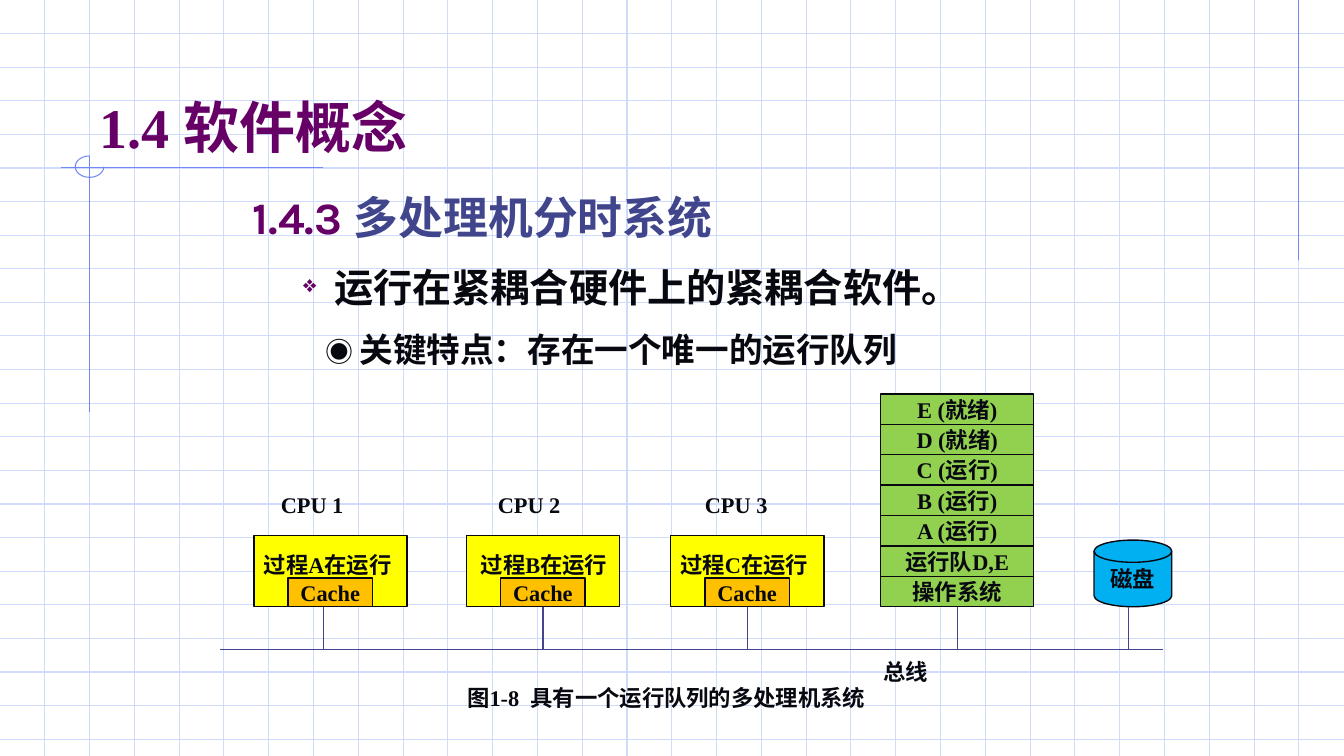
from collections import namedtuple

import pptx
import pptx.dml.color
import pptx.enum.shapes
import pptx.enum.text
import pptx.oxml.ns
import pptx.util
from lxml import etree

Cm = pptx.util.Cm
Pt = pptx.util.Pt
Kind = pptx.enum.shapes.MSO_SHAPE
Align = pptx.enum.text.PP_ALIGN
Anchor = pptx.enum.text.MSO_ANCHOR
qn = pptx.oxml.ns.qn

Box = namedtuple("Box", "x y w h")


class Theme:
    grid, rule, navy = "CFDBFD", "6F89F7", "40458C"
    plum, ink = "660066", "080910"
    yellow, orange, green, blue = "FFFF00", "FFC000", "92D050", "00B0F0"
    serif, sans, arial, han = "Times New Roman", "Karla", "Arial", "Noto Sans CJK SC"
    title, head, point, sub, mark, label = 40, 32, 28, 24, 20, 16


def rgb(code):
    return pptx.dml.color.RGBColor.from_string(code)


def line(slide, x1, y1, x2, y2, color, width=0.75):
    wire = slide.shapes.add_connector(
        pptx.enum.shapes.MSO_CONNECTOR.STRAIGHT, Cm(x1), Cm(y1), Cm(x2), Cm(y2))
    wire.line.color.rgb = rgb(color)
    wire.line.width = Pt(width)
    etree.SubElement(wire._element.spPr, qn("a:effectLst"))
    return wire


def write(para, text, size=Theme.label, color=Theme.ink, font=Theme.serif, bold=True):
    run = para.add_run()
    run.text = text
    run.font.size = Pt(size)
    run.font.bold = bold
    run.font.name = font
    run.font.color.rgb = rgb(color)
    east = etree.SubElement(run._r.get_or_add_rPr(), qn("a:ea"))
    east.set("typeface", Theme.han)


def shape(slide, kind, box, fill, text=None):
    part = slide.shapes.add_shape(kind, *map(Cm, box))
    part.shadow.inherit = False
    part.fill.solid()
    part.fill.fore_color.rgb = rgb(fill)
    part.line.color.rgb = rgb(Theme.ink)
    part.line.width = Pt(1)
    if text:
        frame = part.text_frame
        frame.word_wrap = False
        frame.vertical_anchor = Anchor.MIDDLE
        frame.paragraphs[0].alignment = Align.CENTER
        write(frame.paragraphs[0], text)
    return part


def area(slide, box, anchor):
    frame = slide.shapes.add_textbox(*map(Cm, box)).text_frame
    frame.word_wrap = True
    frame.vertical_anchor = anchor
    return frame


def label(slide, box, text, inset=0.25):
    frame = area(slide, box, Anchor.MIDDLE)
    frame.margin_left = frame.margin_right = Cm(inset)
    frame.margin_top = frame.margin_bottom = 0
    write(frame.paragraphs[0], text)


# Squared paper with the ruled corner marks
def paper(slide, box):
    row, col = box.h / 22.5, box.w / 30
    for i in range(1, 23):
        line(slide, box.x, box.y + i * row, box.x + box.w, box.y + i * row, Theme.grid)
    for i in range(1, 30):
        line(slide, box.x + i * col, box.y, box.x + i * col, box.y + box.h, Theme.grid)
    left, right = box.x + 2 * col, box.x + 29 * col
    line(slide, right, box.y, right, box.y + 6.55, Theme.rule)
    line(slide, box.x + 8.15, box.y + 4.21, box.x + 1.53, box.y + 4.21, Theme.rule)
    line(slide, left, box.y + 3.93, left, box.y + 10.38, Theme.rule)
    arc = slide.shapes.add_shape(
        Kind.ARC, Cm(left - 0.36), Cm(box.y + 3.93), Cm(0.72), Cm(0.54))
    arc.adjustments[0], arc.adjustments[1] = 0, 162
    arc.shadow.inherit = False
    arc.fill.background()
    arc.line.color.rgb = rgb(Theme.rule)
    arc.line.width = Pt(0.75)


def title(slide, box):
    frame = area(slide, box, Anchor.BOTTOM)
    frame.margin_bottom = 0
    write(frame.paragraphs[0], "1.4 软件概念", Theme.title, Theme.plum)


# Heading, bulleted statement and key feature
def body(slide, box):
    frame = area(slide, box, Anchor.TOP)
    head, point, sub = frame.paragraphs[0], frame.add_paragraph(), frame.add_paragraph()
    for para, tall, gap in ((head, 42, 0), (point, 36, 12), (sub, 32, 10)):
        para.line_spacing = Pt(tall)
        para.space_before = Pt(gap)
    write(head, "1.4.3 ", Theme.head, Theme.plum, Theme.sans)
    write(head, "多处理机分时系统", Theme.head, Theme.navy, Theme.sans)

    props = point._p.get_or_add_pPr()
    props.set("marL", str(Cm(2.06)))
    props.set("indent", str(Cm(-0.79)))
    tint = etree.SubElement(props, qn("a:buClr"))
    etree.SubElement(tint, qn("a:srgbClr")).set("val", Theme.plum)
    etree.SubElement(props, qn("a:buSzPct")).set("val", "60000")
    etree.SubElement(props, qn("a:buChar")).set("char", "❖")
    write(point, "运行在紧耦合硬件上的紧耦合软件。", Theme.point, font=Theme.sans)

    sub._p.get_or_add_pPr().set("marL", str(Cm(1.83)))
    write(sub, "◉ ", Theme.mark, font=Theme.arial, bold=False)
    write(sub, "关键特点：存在一个唯一的运行队列", Theme.sub, font=Theme.sans)


# One processor; name is placed from its stem
def cpu(slide, box, stem, shift, num, task):
    block = shape(slide, Kind.RECTANGLE, box, Theme.yellow)
    cache = Box(box.x + 0.86, box.y + box.h - 0.72, 2.13, 0.72)
    shape(slide, Kind.RECTANGLE, cache, Theme.orange, "Cache")
    label(slide, Box(box.x + shift, box.y + 0.38, 3.71, 0.69), f"过程{task}在运行", 0)
    label(slide, Box(stem - 1.32, box.y - 1.25, 2.84, 0.94), f"CPU {num}")
    return block


# Memory holding the run queue; returns its lowest cell
def queue(slide, box):
    cells = ("E (就绪)", "D (就绪)", "C (运行)", "B (运行)", "A (运行)",
             "运行队D,E", "操作系统")
    tall = box.h / len(cells)
    for i, text in enumerate(cells):
        cell = shape(slide, Kind.RECTANGLE,
                     Box(box.x, box.y + i * tall, box.w, tall), Theme.green, text)
    return cell


# Processors, memory and disk on a common bus
def diagram(slide, box):
    base, bus = box.y + 5.36, box.y + 6.43
    line(slide, box.x, bus, box.x + box.w, bus, Theme.navy, 1)

    parts = []
    units = ((0.86, 2.61, 0.25, "A"), (6.22, 8.08, 0.36, "B"), (11.37, 13.3, 0.24, "C"))
    for num, (left, stem, shift, task) in enumerate(units, 1):
        place = Box(box.x + left, base - 1.8, 3.86, 1.8)
        parts.append((cpu(slide, place, box.x + stem, shift, num, task), stem))
    parts.append((queue(slide, Box(box.x + 16.66, box.y, 3.86, 5.36)), 18.54))
    disk = shape(slide, Kind.FLOWCHART_MAGNETIC_DISK,
                 Box(box.x + 22.04, base - 1.68, 1.96, 1.68), Theme.blue, "磁盘")
    parts.append((disk, 22.91))

    # Stems, joined where they meet the middle of a block
    for part, stem in parts:
        x, mid = box.x + stem, (part.left + part.width / 2) / Cm(1)
        near = abs(x - mid) < 0.1
        x = mid if near else x
        wire = line(slide, x, base, x, bus, Theme.navy, 1)
        if near:
            wire.begin_connect(part, 2)

    label(slide, Box(box.x + 16.48, bus + 0.08, 2.57, 0.94), "总线")
    label(slide, Box(box.x + 5.99, bus + 0.76, 12.8, 0.94),
          "图1-8  具有一个运行队列的多处理机系统")


def main():
    deck = pptx.Presentation()
    deck.slide_width, deck.slide_height = Cm(33.88), Cm(19.05)
    slide = deck.slides.add_slide(deck.slide_layouts[6])
    paper(slide, Box(0, 0, 33.87, 19.05))
    title(slide, Box(2.26, 0.84, 28.78, 3.18))
    body(slide, Box(6.12, 4.52, 21.79, 12.83))
    diagram(slide, Box(5.54, 9.93, 23.77, 8.13))
    deck.save("out.pptx")


if __name__ == "__main__":
    main()
